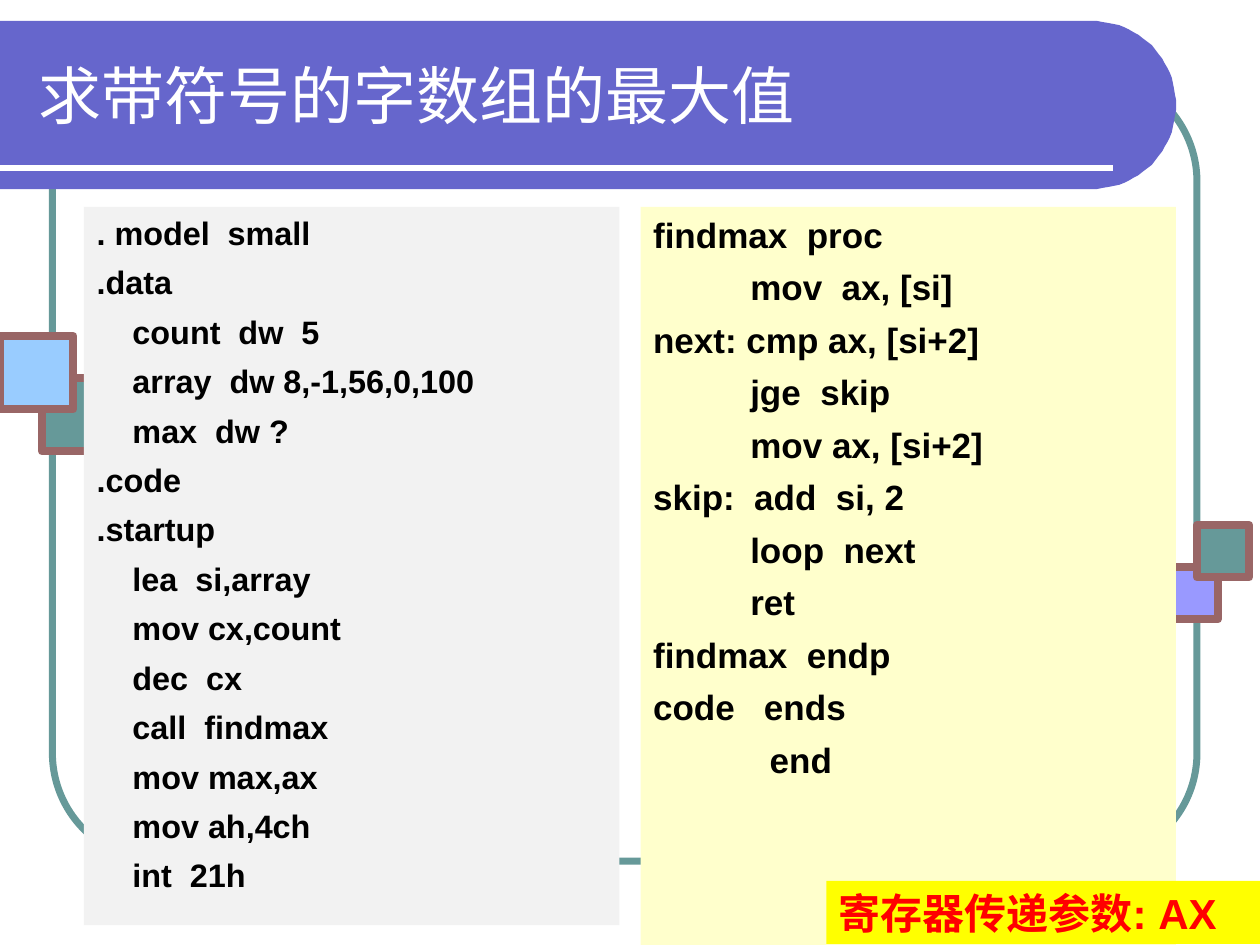
"""Build the slide on finding the largest signed word in an array."""
import math
from dataclasses import dataclass

import pptx
import pptx.dml.color
import pptx.enum.shapes
import pptx.enum.text
import pptx.oxml
import pptx.oxml.ns
import pptx.util

EMU_PER_PX = 7620


@dataclass(frozen=True)
class Theme:
    font: str = "Arial"
    white: str = "FFFFFF"
    black: str = "000000"
    banner: str = "6666CC"
    teal: str = "669999"
    lilac: str = "9999FF"
    sky: str = "99CCFF"
    square_edge: str = "996666"
    main_panel: str = "F2F2F2"
    proc_panel: str = "FFFFCC"
    note_fill: str = "FFFF00"
    note_text: str = "FF0000"
    title_size: float = 36
    main_size: float = 18.5
    proc_size: float = 20
    note_size: float = 24
    code_gap: float = 6


@dataclass(frozen=True)
class Box:
    left: int
    top: int
    width: int
    height: int


@dataclass(frozen=True)
class Square:
    left: int
    top: int
    side: int
    fill: str


@dataclass(frozen=True)
class CodePanel:
    box: Box
    fill: str
    size: float
    code: str


THEME = Theme()
SQUARES = (
    Square(1110, 540, 50, THEME.lilac),
    Square(1140, 500, 50, THEME.teal),
    Square(40, 360, 70, THEME.teal),
    Square(0, 320, 70, THEME.sky),
)
MAIN_CODE = """. model  small
.data
    count  dw  5
    array  dw 8,-1,56,0,100
    max  dw ?
.code
.startup
    lea  si,array
    mov cx,count
    dec  cx
    call  findmax
    mov max,ax
    mov ah,4ch
    int  21h"""
PROC_CODE = """findmax  proc
          mov  ax, [si]
next: cmp ax, [si+2]
          jge  skip
          mov ax, [si+2]
skip:  add  si, 2
          loop  next
          ret
findmax  endp
code   ends
            end"""
PANELS = (
    CodePanel(Box(80, 197, 510, 684), THEME.main_panel, THEME.main_size, MAIN_CODE),
    CodePanel(Box(610, 197, 510, 703), THEME.proc_panel, THEME.proc_size, PROC_CODE),
)


def px(length: int) -> int:
    return pptx.util.Emu(length * EMU_PER_PX)


def rgb(color: str) -> pptx.dml.color.RGBColor:
    return pptx.dml.color.RGBColor.from_string(color)


def paint(shape, color: str) -> None:
    shape.fill.solid()
    shape.fill.fore_color.rgb = rgb(color)


def place(shape, box: Box) -> None:
    shape.left, shape.top = px(box.left), px(box.top)
    shape.width, shape.height = px(box.width), px(box.height)


def set_frame(frame, anchor) -> None:
    frame.word_wrap = True
    frame.auto_size = pptx.enum.text.MSO_AUTO_SIZE.NONE
    frame.vertical_anchor = anchor


def add_run(paragraph, text: str, size: float, color: str, bold: bool) -> None:
    paragraph.alignment = pptx.enum.text.PP_ALIGN.LEFT
    run = paragraph.add_run()
    run.text = text
    run.font.name = THEME.font
    run.font.size = pptx.util.Pt(size)
    run.font.bold = bold
    run.font.color.rgb = rgb(color)


def add_block(slide, kind, box: Box):
    block = slide.shapes.add_shape(
        kind, px(box.left), px(box.top), px(box.width), px(box.height))
    block.shadow.inherit = False
    return block


def draw_frame(slide) -> None:
    frame = add_block(
        slide, pptx.enum.shapes.MSO_SHAPE.ROUNDED_RECTANGLE, Box(50, 70, 1090, 750))
    frame.adjustments[0] = 0.137
    frame.fill.background()
    frame.line.color.rgb = rgb(THEME.teal)
    frame.line.width = pptx.util.Pt(4)


def draw_banner(slide) -> None:
    radius, center_x, center_y, steps = 80, 1040, 100, 48
    angles = [math.pi * (step / steps - 0.5) for step in range(steps + 1)]
    outline = [(center_x + radius * math.cos(angle), center_y + radius * math.sin(angle))
               for angle in angles]
    builder = slide.shapes.build_freeform(0, center_y - radius, scale=EMU_PER_PX)
    builder.add_line_segments(outline + [(0, center_y + radius)], close=True)
    banner = builder.convert_to_shape()
    banner.shadow.inherit = False
    paint(banner, THEME.banner)
    banner.line.fill.background()


def draw_rule(slide) -> None:
    rule = slide.shapes.add_connector(
        pptx.enum.shapes.MSO_CONNECTOR.STRAIGHT, px(0), px(160), px(1060), px(160))
    rule.line.color.rgb = rgb(THEME.white)
    rule.line.width = pptx.util.Pt(3)
    rule.element.spPr.append(pptx.oxml.parse_xml(
        f'<a:effectLst {pptx.oxml.ns.nsdecls("a")}/>'))


def draw_square(slide, square: Square) -> None:
    tile = add_block(slide, pptx.enum.shapes.MSO_SHAPE.RECTANGLE,
                     Box(square.left, square.top, square.side, square.side))
    paint(tile, square.fill)
    tile.line.color.rgb = rgb(THEME.square_edge)
    tile.line.width = pptx.util.Pt(4.5)


def fill_title(title) -> None:
    place(title, Box(25, 30, 1052, 120))
    set_frame(title.text_frame, pptx.enum.text.MSO_ANCHOR.MIDDLE)
    add_run(title.text_frame.paragraphs[0], "求带符号的字数组的最大值",
            THEME.title_size, THEME.white, False)


def fill_panel(body, panel: CodePanel) -> None:
    place(body, panel.box)
    paint(body, panel.fill)
    frame = body.text_frame
    set_frame(frame, pptx.enum.text.MSO_ANCHOR.TOP)
    for number, code_line in enumerate(panel.code.splitlines()):
        paragraph = frame.add_paragraph() if number else frame.paragraphs[0]
        properties = paragraph._p.get_or_add_pPr()
        properties.set("marL", str(px(45)))
        properties.set("indent", str(-px(45)))
        properties.append(pptx.oxml.parse_xml(
            f'<a:buNone {pptx.oxml.ns.nsdecls("a")}/>'))
        paragraph.space_before = pptx.util.Pt(THEME.code_gap if number else 0)
        add_run(paragraph, code_line, panel.size, THEME.black, True)


def draw_note(slide) -> None:
    note = add_block(
        slide, pptx.enum.shapes.MSO_SHAPE.RECTANGLE, Box(787, 839, 413, 60))
    paint(note, THEME.note_fill)
    note.line.fill.background()
    set_frame(note.text_frame, pptx.enum.text.MSO_ANCHOR.TOP)
    add_run(note.text_frame.paragraphs[0], "寄存器传递参数: AX",
            THEME.note_size, THEME.note_text, True)


def main() -> None:
    deck = pptx.Presentation()
    deck.slide_width, deck.slide_height = px(1200), px(900)
    slide = deck.slides.add_slide(deck.slide_layouts.get_by_name("Two Content"))
    title, *bodies = slide.placeholders
    draw_frame(slide)
    draw_banner(slide)
    draw_rule(slide)
    for square in SQUARES:
        draw_square(slide, square)
    for holder in (title, *bodies):
        holder.element.getparent().append(holder.element)
    fill_title(title)
    for body, panel in zip(bodies, PANELS):
        fill_panel(body, panel)
    draw_note(slide)
    deck.save("out.pptx")


if __name__ == "__main__":
    main()
